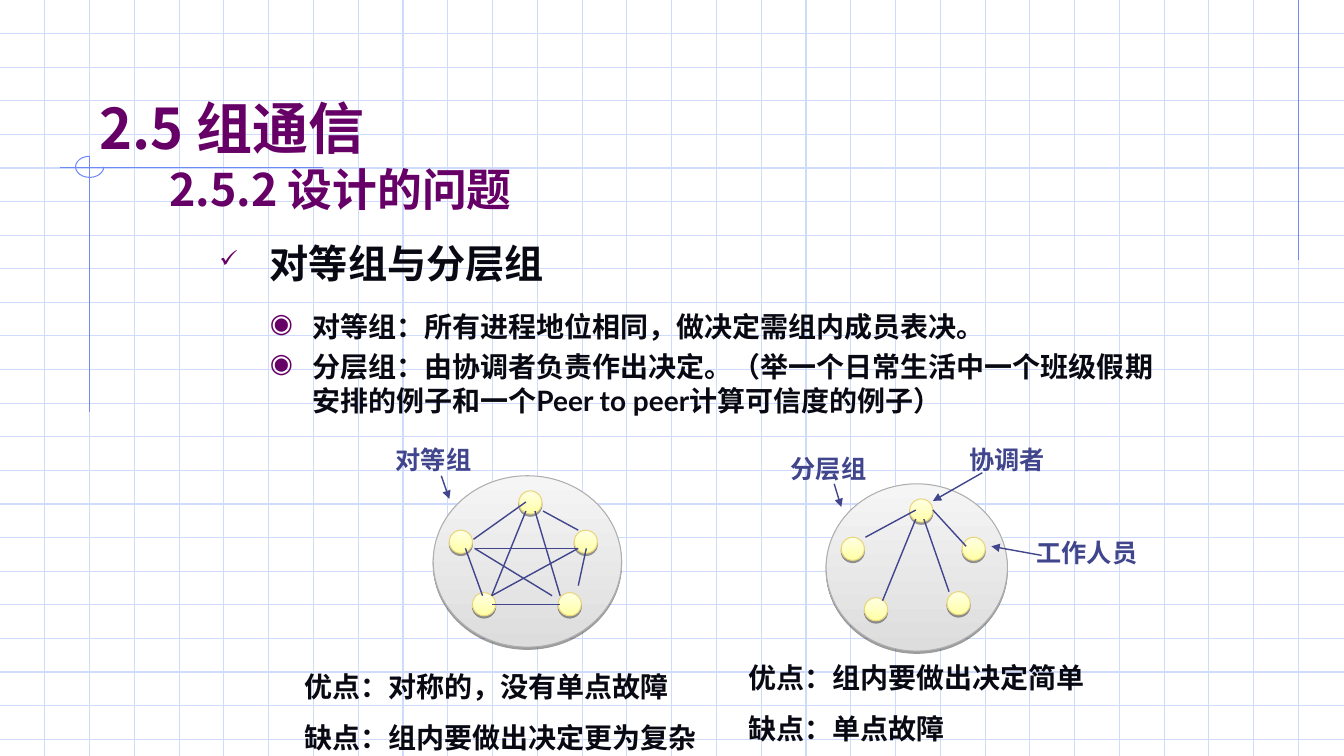
import pptx
import pptx.dml.color
import pptx.enum.shapes
import pptx.enum.text
import pptx.oxml
import pptx.oxml.ns
import pptx.util
from pptx.util import Inches

WIDTH, HEIGHT = 13.34, 7.5
GRID, RULE, PURPLE, INDIGO, INK = "CFDBFD", "6F89F7", "660066", "40458C", "080912"
HEADING_FONT, CJK_FONT = "Noto Sans CJK JP", "Noto Sans CJK SC"

PEER = {
    "nodes": [(0.85, 0.15), (1.4, 0.54), (1.24, 1.16), (0.16, 0.54), (0.39, 1.16)],
    "edges": [
        (0.92, 0.26, 0.4, 0.63), (0.32, 0.72, 0.49, 1.19), (0.58, 1.28, 1.26, 1.28),
        (1.52, 0.72, 1.44, 1.09), (1.09, 0.35, 1.44, 0.54), (0.92, 0.35, 0.58, 1.19),
        (1.01, 0.35, 1.26, 1.19), (0.41, 0.72, 1.44, 0.72), (0.41, 0.72, 1.18, 1.19),
        (1.44, 0.72, 0.58, 1.19),
    ],
    "arrows": [(0.08, 0, 0.16, 0.23)],
    "labels": [("对等组", -0.47, -0.36, 1.01)],
}
HIERARCHY = {
    "nodes": [(0.83, 0.15), (1.35, 0.53), (1.2, 1.07), (0.15, 0.53), (0.38, 1.13)],
    "edges": [
        (0.89, 0.26, 0.39, 0.53), (0.89, 0.35, 0.56, 1.16),
        (0.97, 0.35, 1.22, 1.07), (1.06, 0.26, 1.39, 0.62),
    ],
    "arrows": [(0.08, 0, 0.15, 0.23), (1.55, -0.11, 1.06, 0.17), (2.14, 0.71, 1.64, 0.62)],
    "labels": [("分层组", -0.45, -0.35, 0.98), ("协调者", 1.32, -0.44, 0.98),
               ("工作人员", 1.99, 0.48, 1.23)],
}


def color(value):
    """Return the colour for a hex string."""
    return pptx.dml.color.RGBColor.from_string(value)


def element(xml):
    """Parse a DrawingML fragment."""
    return pptx.oxml.parse_xml(xml.replace(" ", f" {pptx.oxml.ns.nsdecls('a')} ", 1))


def draw_line(slide, start, end, hue, weight=0.75, arrow=False):
    """Draw a straight line between two points."""
    line = slide.shapes.add_connector(
        pptx.enum.shapes.MSO_CONNECTOR.STRAIGHT, *map(Inches, (*start, *end)))
    line.line.color.rgb = color(hue)
    line.line.width = pptx.util.Pt(weight)
    properties = line.element.spPr
    if arrow:
        properties.find(pptx.oxml.ns.qn("a:ln")).append(element('<a:tailEnd type="triangle"/>'))
    properties.append(element("<a:effectLst />"))


def draw_ball(slide, box, bottom, top, outline):
    """Draw a shaded ellipse with a short shadow."""
    ball = slide.shapes.add_shape(pptx.enum.shapes.MSO_SHAPE.OVAL, *map(Inches, box))
    ball.fill.gradient()
    ball.fill.gradient_angle = 90
    for stop, hue in zip(ball.fill.gradient_stops, (bottom, top)):
        stop.color.rgb = color(hue)
    ball.line.color.rgb = color(outline)
    ball.line.width = pptx.util.Pt(0.75)
    ball.shadow.inherit = False
    ball.element.spPr.find(pptx.oxml.ns.qn("a:effectLst")).append(element(
        '<a:outerShdw blurRad="0" dist="20000" dir="5400000" rotWithShape="0">'
        '<a:srgbClr val="000000"><a:alpha val="38000"/></a:srgbClr></a:outerShdw>'))


def format_paragraph(paragraph, text, size, hue, latin, east_asian=CJK_FONT, before=0):
    """Fill a paragraph and set its bold type and spacing."""
    paragraph.text = text
    paragraph.alignment = pptx.enum.text.PP_ALIGN.LEFT
    paragraph.line_spacing = pptx.util.Pt(size * 1.2)
    paragraph.space_before = pptx.util.Pt(before)
    for run in paragraph.runs:
        run.font.size = pptx.util.Pt(size)
        run.font.bold = True
        run.font.name = latin
        run.font.color.rgb = color(hue)
        run.font._element.find(pptx.oxml.ns.qn("a:latin")).addnext(
            element(f'<a:ea typeface="{east_asian}"/>'))


def set_indent(paragraph, margin, hanging, bullet=None, percent=100):
    """Give a paragraph a hanging indent and an optional bullet."""
    properties = paragraph._p.get_or_add_pPr()
    properties.set("marL", str(Inches(margin)))
    properties.set("indent", str(-Inches(hanging)))
    if bullet:
        for xml in (f'<a:buClr ><a:srgbClr val="{PURPLE}"/></a:buClr>',
                    f'<a:buSzPct val="{percent * 1000}"/>',
                    f'<a:buChar char="{bullet}"/>'):
            properties.append(element(xml))


def add_text_frame(slide, box):
    """Add a wrapping text box and return its frame."""
    frame = slide.shapes.add_textbox(*map(Inches, box)).text_frame
    frame.word_wrap = True
    return frame


def background(slide, width, height):
    """Draw the graph paper and its corner ornament."""
    for row in range(1, 23):
        draw_line(slide, (0, row / 3), (width, row / 3), GRID)
    for column in range(1, 30):
        x = column * 4 / 9
        draw_line(slide, (x, 0), (x, height), GRID)
    draw_line(slide, (12.89, 0), (12.89, 2.58), RULE)
    draw_line(slide, (0.6, 1.66), (3.21, 1.66), RULE)
    draw_line(slide, (0.89, 1.55), (0.89, 4.09), RULE)
    loop = slide.shapes.add_shape(
        pptx.enum.shapes.MSO_SHAPE.ARC, *map(Inches, (0.75, 1.55, 0.28, 0.21)))
    loop.adjustments[0], loop.adjustments[1] = 0, 162
    loop.fill.background()
    loop.line.color.rgb = color(RULE)
    loop.line.width = pptx.util.Pt(0.75)
    loop.shadow.inherit = False


def heading(slide, left, top, width, height):
    """Place the section title above the grid."""
    title = slide.shapes.title
    title.left, title.top, title.width, title.height = map(Inches, (left, top, width, height))
    title.text_frame.vertical_anchor = pptx.enum.text.MSO_ANCHOR.BOTTOM
    format_paragraph(title.text_frame.paragraphs[0], "2.5 组通信", 40, PURPLE,
                     HEADING_FONT, HEADING_FONT)
    title.element.getparent().append(title.element)


def outline(slide, left, top, width, height):
    """Write the subsection heading, topic and its points."""
    frame = add_text_frame(slide, (left, top, width, height))
    subsection = frame.paragraphs[0]
    set_indent(subsection, 0.5, 0.5)
    format_paragraph(subsection, "2.5.2 设计的问题", 32, PURPLE, HEADING_FONT, HEADING_FONT)
    for text, size, before, margin, hanging, bullet, percent in (
        ("对等组与分层组", 28, 17, 1, 0.5, "✓", 60),
        ("对等组：所有进程地位相同，做决定需组内成员表决。", 20, 16, 1.42, 0.42, "◉", 95),
        ("分层组：由协调者负责作出决定。（举一个日常生活中一个班级假期安排的例子和一个"
         "Peer to peer计算可信度的例子）", 20, 5, 1.42, 0.42, "◉", 95),
    ):
        point = frame.add_paragraph()
        set_indent(point, margin, hanging, bullet, percent)
        format_paragraph(point, text, size, INK, "Lato", before=before)


def group_diagram(slide, left, top, width, height, group):
    """Draw a process group with its members, links and labels."""
    draw_ball(slide, (left, top, width, height), "DDDDDD", "F5F5F5", "AEAEAE")
    for x, y in group["nodes"]:
        draw_ball(slide, (left + x, top + y, 0.23, 0.23), "FFFFA5", "FFFFE4", "E9D57C")
    for kind in ("edges", "arrows"):
        for x1, y1, x2, y2 in group[kind]:
            draw_line(slide, (left + x1, top + y1), (left + x2, top + y2),
                      INDIGO, 1, kind == "arrows")
    for text, x, y, label_width in group["labels"]:
        label = add_text_frame(slide, (left + x, top + y, label_width, 0.4))
        format_paragraph(label.paragraphs[0], text, 18, INDIGO, "Times New Roman")


def verdict(slide, left, top, width, height, lines):
    """Write the advantage and drawback of one group."""
    frame = add_text_frame(slide, (left, top, width, height))
    for index, text in enumerate(lines):
        paragraph = frame.add_paragraph() if index else frame.paragraphs[0]
        set_indent(paragraph, 0.38, 0.38)
        format_paragraph(paragraph, text, 20, INK, CJK_FONT, before=12.5 * index)


def main():
    """Build the slide on group communication."""
    deck = pptx.Presentation()
    deck.slide_width, deck.slide_height = Inches(WIDTH), Inches(HEIGHT)
    slide = deck.slides.add_slide(deck.slide_layouts[5])
    background(slide, WIDTH, HEIGHT)
    heading(slide, 0.89, 0.39, 11.33, 1.25)
    outline(slide, 1.58, 1.56, 10.17, 2.7)
    group_diagram(slide, 4.3, 4.72, 1.87, 1.7, PEER)
    group_diagram(slide, 8.2, 4.8, 1.8, 1.66, HIERARCHY)
    verdict(slide, 2.92, 6.59, 4.17, 0.91,
            ("优点：对称的，没有单点故障", "缺点：组内要做出决定更为复杂"))
    verdict(slide, 7.33, 6.5, 4.17, 0.91, ("优点：组内要做出决定简单", "缺点：单点故障"))
    deck.save("out.pptx")


if __name__ == "__main__":
    main()
